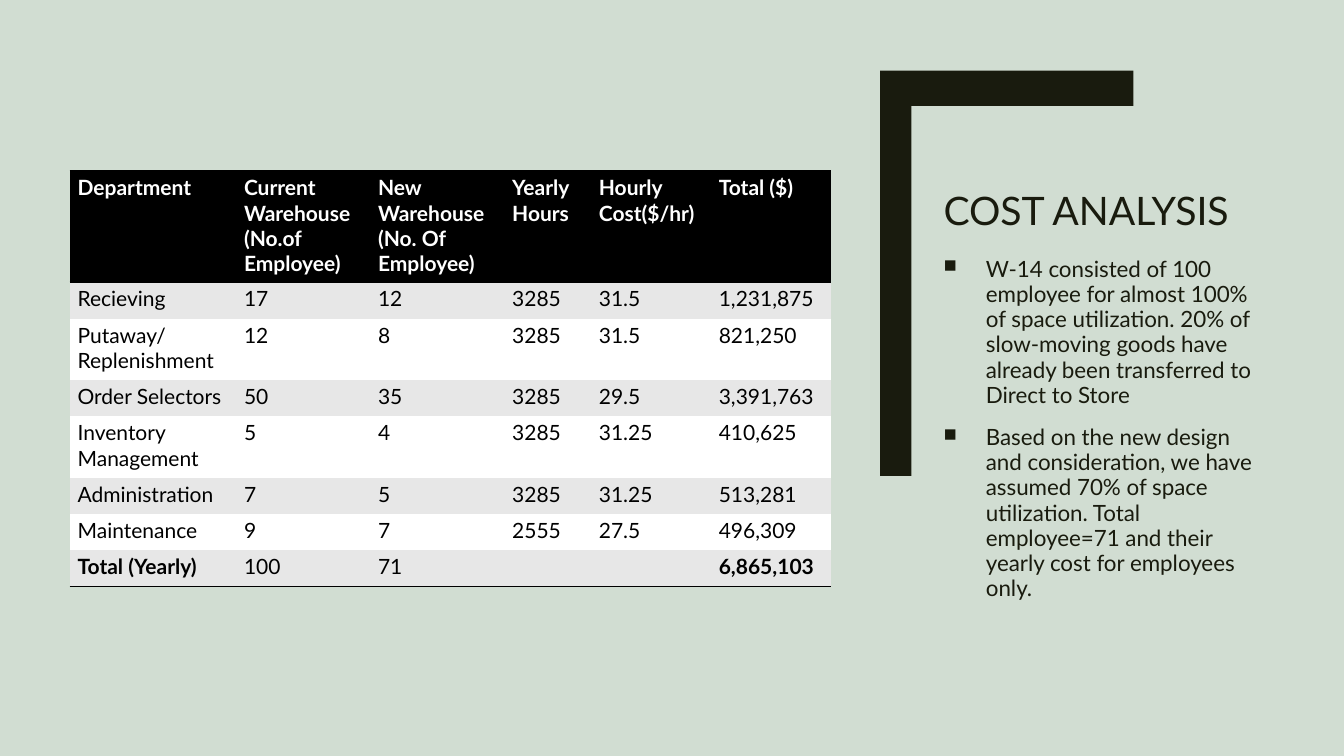
from lxml.etree import SubElement
from pptx import Presentation
from pptx.dml.color import RGBColor as RGB
from pptx.enum.text import MSO_ANCHOR as Anchor
from pptx.oxml import parse_xml
from pptx.oxml.ns import nsdecls, qn
from pptx.util import Inches, Pt

FONT = "Lato"
SAGE = RGB(0xD1, 0xDD, 0xD2)
DARK = RGB(0x19, 0x1B, 0x0E)
BLACK = RGB(0, 0, 0)
WHITE = RGB(0xFF, 0xFF, 0xFF)
GRAY = RGB(0xE7, 0xE7, 0xE7)
PLAIN = "{2D5ABB26-0587-4C30-8999-92F81FD0307C}"  # table style without lines

WIDTHS = [1.65, 1.33, 1.33, 0.86, 1.19, 1.19]
HEIGHTS = [1.1, 0.36, 0.61, 0.36, 0.61, 0.36, 0.36, 0.36]
COSTS = [
    ["Department", "Current Warehouse (No.of Employee)",
     "New Warehouse\n(No. Of Employee)", "Yearly Hours",
     "Hourly Cost($/hr)", "Total ($)"],
    ["Recieving", "17", "12", "3285", "31.5", "1,231,875"],
    ["Putaway/ Replenishment", "12", "8", "3285", "31.5", "821,250"],
    ["Order Selectors", "50", "35", "3285", "29.5", "3,391,763"],
    ["Inventory Management", "5", "4", "3285", "31.25", "410,625"],
    ["Administration", "7", "5", "3285", "31.25", "513,281"],
    ["Maintenance", "9", "7", "2555", "27.5", "496,309"],
    ["Total (Yearly)", "100", "71", "", "", "6,865,103"],
]
POINTS = [
    "W-14 consisted of 100 employee for almost 100% of space utilization. "
    "20% of slow-moving goods have already been transferred to Direct to Store",
    "Based on the new design and consideration, we have assumed 70% of space "
    "utilization. Total employee=71 and their yearly cost for employees only.",
]


def style(para, size, color, bold=False):
    for run in para.runs:
        font = run.font
        font.name, font.size, font.bold = FONT, Pt(size), bold
        font.color.rgb = color


def rule(cell, side):
    """Draw a black line on one side of a cell: T or B."""
    line = parse_xml(
        f'<a:ln{side} {nsdecls("a")} w="{Pt(1.5)}"><a:solidFill>'
        f'<a:srgbClr val="{BLACK}"/></a:solidFill></a:ln{side}>')
    cell._tc.get_or_add_tcPr().insert(0, line)


def fill_cell(cell, text, row, col):
    head, last = row == 0, row == len(COSTS) - 1
    cell.text_frame.text = text
    cell.margin_left = cell.margin_right = Inches(0.08)
    cell.margin_top = cell.margin_bottom = Pt(2.8)
    cell.fill.solid()
    cell.fill.fore_color.rgb = BLACK if head else GRAY if row % 2 else WHITE
    bold = head or last and col in (0, len(WIDTHS) - 1)
    for para in cell.text_frame.paragraphs:
        style(para, 15, WHITE if head else BLACK, bold)
        if not text:
            SubElement(para._p, qn("a:endParaRPr")).set("sz", "1500")
    if head or last:
        rule(cell, "B")
    if head:
        rule(cell, "T")


def cost_table(slide, left, top):
    frame = slide.shapes.add_table(
        len(COSTS), len(WIDTHS), Inches(left), Inches(top),
        Inches(sum(WIDTHS)), Inches(sum(HEIGHTS)))
    table = frame.table
    table._tbl.tblPr.find(qn("a:tableStyleId")).text = PLAIN
    for col, width in zip(table.columns, WIDTHS):
        col.width = Inches(width)
    for row, height in zip(table.rows, HEIGHTS):
        row.height = Inches(height)
    for r, texts in enumerate(COSTS):
        for c, text in enumerate(texts):
            fill_cell(table.cell(r, c), text, r, c)


def bracket(slide, left, top, width, height):
    """Draw the corner bracket with a thick top bar and a left bar."""
    left, top, width, height, bar, post = map(
        Inches, (left, top, width, height, 0.35, 0.31))
    right, base = left + width, top + height
    pen = slide.shapes.build_freeform(left, top)
    pen.add_line_segments([
        (right, top), (right, top + bar), (left + post, top + bar),
        (left + post, base), (left, base)])
    shape = pen.convert_to_shape()
    shape.shadow.inherit = False
    shape.fill.solid()
    shape.fill.fore_color.rgb = DARK
    shape.line.fill.background()


def text_box(slide, left, top, width, height, text):
    box = slide.shapes.add_textbox(*map(Inches, (left, top, width, height)))
    frame = box.text_frame
    frame.word_wrap = True
    frame.text = text
    return frame


def side_text(slide, left, top, width):
    title = text_box(slide, left, top, width, 1.16, "COST ANALYSIS")
    title.vertical_anchor = Anchor.BOTTOM
    title.paragraphs[0].line_spacing = 0.89
    style(title.paragraphs[0], 28, DARK)

    body = text_box(slide, left, top + 1.29, width, 4.3, "\n".join(POINTS))
    for i, para in enumerate(body.paragraphs):
        props = para._p.get_or_add_pPr()
        props.set("marL", str(Inches(0.42)))
        props.set("indent", str(-Inches(0.42)))
        SubElement(props, qn("a:buSzPct")).set("val", "80000")
        SubElement(props, qn("a:buChar")).set("char", "■")
        para.line_spacing = 0.94
        para.space_before = Pt(10 if i else 0)
        para.space_after = Pt(2)
        style(para, 16, DARK)


def main():
    prs = Presentation()
    prs.slide_width, prs.slide_height = Inches(13.33), Inches(7.5)
    slide = prs.slides.add_slide(prs.slide_layouts[6])
    slide.background.fill.solid()
    slide.background.fill.fore_color.rgb = SAGE
    side_text(slide, 9.26, 1.21, 3.34)
    bracket(slide, 8.73, 0.7, 2.51, 4.02)
    cost_table(slide, 0.69, 1.7)
    prs.save("out.pptx")


if __name__ == "__main__":
    main()
